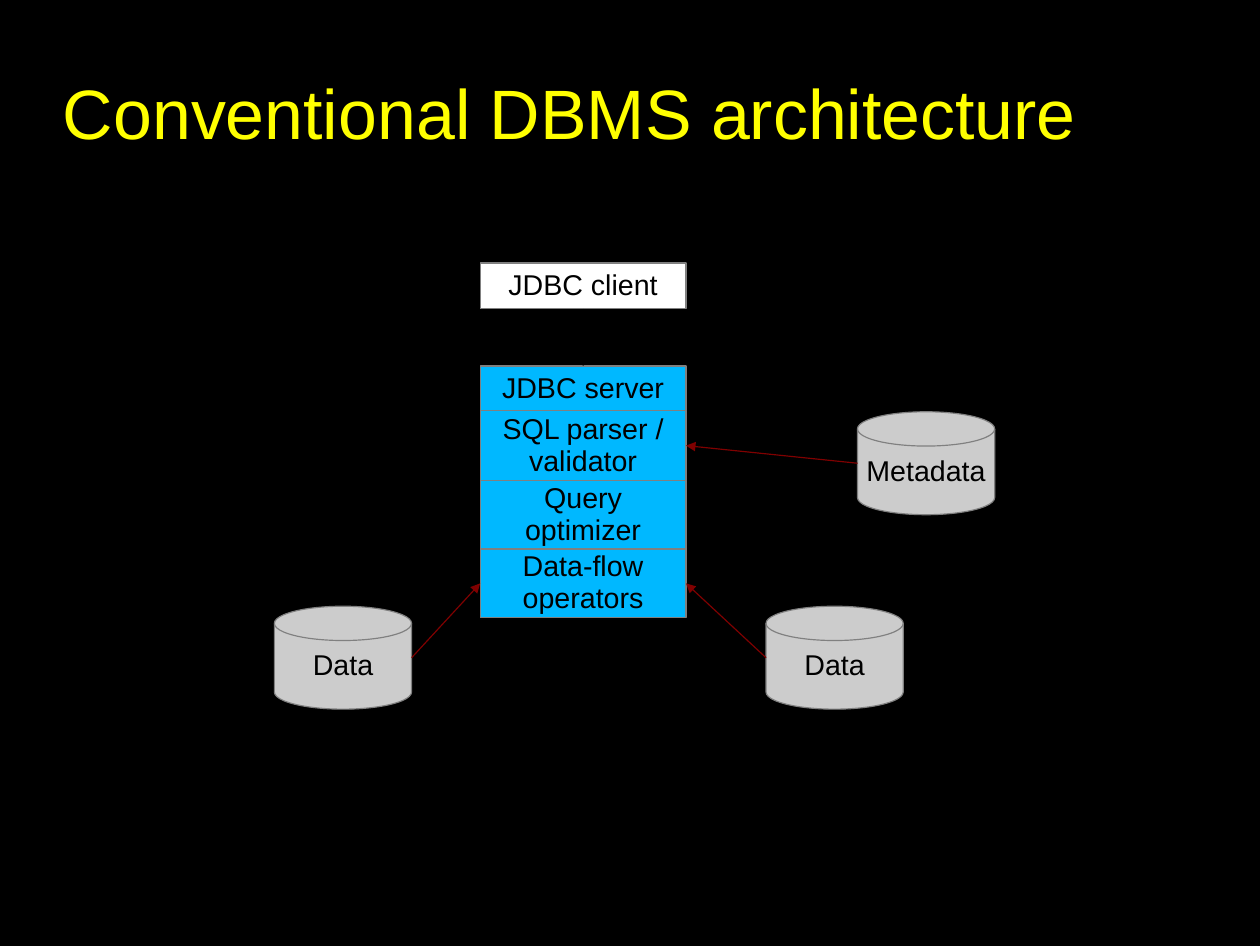
from dataclasses import dataclass

from lxml import etree
from pptx import Presentation
from pptx import util as u
from pptx.dml.color import RGBColor
from pptx.enum import shapes, text
from pptx.oxml import ns

RECT = shapes.MSO_SHAPE.RECTANGLE
DISK = shapes.MSO_SHAPE.FLOWCHART_MAGNETIC_DISK
BLUE, GREY, EDGE, RED = "00B8FF", "CCCCCC", "808080", "800000"
BLACK, WHITE, YELLOW = "000000", "FFFFFF", "FFFF00"
FRAME = {"vertical_anchor": text.MSO_ANCHOR.MIDDLE,
         "auto_size": text.MSO_AUTO_SIZE.NONE}


@dataclass
class Node:
    label: str
    left: float
    top: float
    width: float
    height: float
    fill: str
    kind: int = RECT

    @property
    def mid(self) -> float:
        return self.top + self.height / 2

    @property
    def right(self) -> float:
        return self.left + self.width


@dataclass
class Arrow:
    x1: float
    y1: float
    x2: float
    y2: float
    color: str = RED


def paint(target, color: str) -> None:
    target.rgb = RGBColor.from_string(color)


def setup(target, values: dict) -> None:
    for name, value in values.items():
        setattr(target, name, value)


def write(frame, label: str, size: float, color: str, align) -> None:
    frame.text = label
    para = frame.paragraphs[0]
    setup(para, {"alignment": align, "line_spacing": 0.93})
    setup(para.font, {"name": "Arial", "size": u.Pt(size)})
    paint(para.font.color, color)


def draw_node(slide, node: Node) -> None:
    box = slide.shapes.add_shape(node.kind, u.Pt(node.left), u.Pt(node.top),
                                 u.Pt(node.width), u.Pt(node.height))
    box.shadow.inherit = False
    box.fill.solid()
    paint(box.fill.fore_color, node.fill)
    paint(box.line.color, EDGE)
    box.line.width = u.Pt(0.75)
    setup(box.text_frame, FRAME | {"word_wrap": False})
    write(box.text_frame, node.label, 18, BLACK, text.PP_ALIGN.CENTER)


def draw_arrow(slide, arrow: Arrow) -> None:
    ends = [u.Pt(v) for v in (arrow.x1, arrow.y1, arrow.x2, arrow.y2)]
    link = slide.shapes.add_connector(shapes.MSO_CONNECTOR.STRAIGHT, *ends)
    paint(link.line.color, arrow.color)
    link.line.width = u.Pt(0.75)
    tip = etree.SubElement(link.line._get_or_add_ln(), ns.qn("a:tailEnd"))
    tip.set("type", "triangle")
    etree.SubElement(link._element.spPr, ns.qn("a:effectLst"))


def draw_title(slide, label: str) -> None:
    title = slide.shapes.title
    setup(title, {"left": u.Pt(39.6), "top": u.Pt(23.8),
                  "width": u.Pt(713.5), "height": u.Pt(98.6)})
    sides = ("left", "right", "top", "bottom")
    setup(title.text_frame, FRAME | {"word_wrap": True}
          | {f"margin_{side}": u.Pt(0) for side in sides})
    write(title.text_frame, label, 44, YELLOW, text.PP_ALIGN.LEFT)


def main() -> None:
    deck = Presentation()
    setup(deck, {"slide_width": u.Pt(793.44), "slide_height": u.Pt(595.44)})
    slide = deck.slides.add_slide(deck.slide_layouts[5])
    slide.background.fill.solid()
    paint(slide.background.fill.fore_color, BLACK)
    draw_title(slide, "Conventional DBMS architecture")

    # Client above the stack of server layers
    left, width = 302.4, 129.6
    client = Node("JDBC client", left, 165.6, width, 28.8, WHITE)
    layers, top = [], 230.4
    for label, height in (("JDBC server", 28.2), ("SQL parser /\vvalidator", 43.8),
                          ("Query\voptimizer", 43.2), ("Data-flow\voperators", 43.2)):
        layers.append(Node(label, left, top, width, height, BLUE))
        top += height
    server, parser, _, flow = layers

    # Stores around the stack
    meta, east, west = (
        Node(label, x, y, 86.4, 64.8, GREY, DISK)
        for label, x, y in (("Metadata", 540, 259.2), ("Data", 482.4, 381.6),
                            ("Data", 172.8, 381.6)))

    # Arrows into the layers
    center = left + width / 2
    arrows = [
        Arrow(meta.left, meta.mid, parser.right, parser.mid),
        Arrow(center, client.top + client.height, center, server.top, BLACK),
        Arrow(east.left, east.mid, flow.right, flow.mid),
        Arrow(west.right, west.mid, flow.left, flow.mid),
    ]

    for node in (*layers, meta, east, west, client):
        draw_node(slide, node)
    for arrow in arrows:
        draw_arrow(slide, arrow)
    deck.save("out.pptx")


if __name__ == "__main__":
    main()
